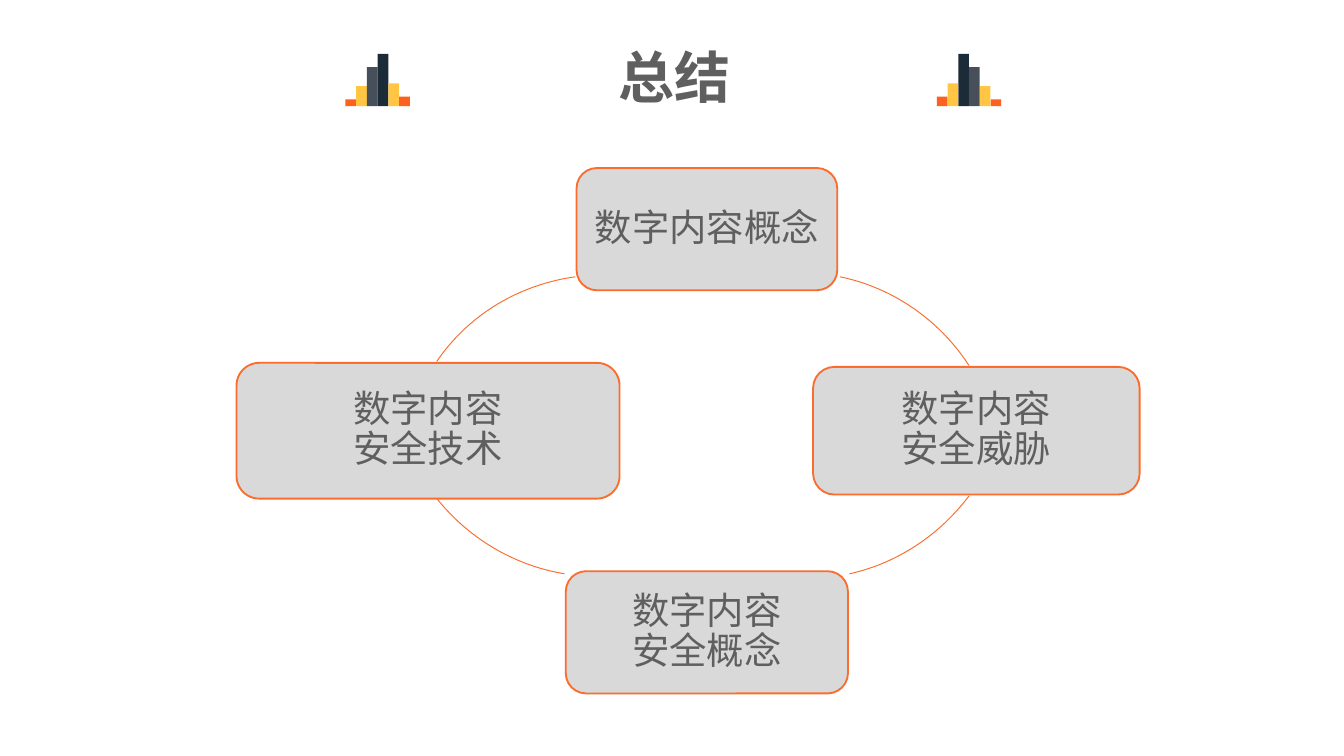
"""Build the summary slide: a ring of four topics under a title with bar ornaments."""
from pptx import Presentation
from pptx.dml.color import RGBColor
from pptx.enum.shapes import MSO_SHAPE
from pptx.enum.text import MSO_ANCHOR, PP_ALIGN
from pptx.util import Inches, Pt

RECT, ROUND = MSO_SHAPE.RECTANGLE, MSO_SHAPE.ROUNDED_RECTANGLE
MIDDLE, CENTER = MSO_ANCHOR.MIDDLE, PP_ALIGN.CENTER
FONT = "Noto Sans CJK SC"
GREY = RGBColor(0x5F, 0x5F, 0x5F)
PANEL = RGBColor(0xD9, 0xD9, 0xD9)
EDGE = RGBColor(0xFC, 0x6C, 0x2C)
ORANGE = RGBColor(0xFC, 0x61, 0x1F)
YELLOW = RGBColor(0xFF, 0xC5, 0x43)
SLATE = RGBColor(0x46, 0x4F, 0x5A)
NAVY = RGBColor(0x1C, 0x2B, 0x38)


def write(sp, lines, size, spacing, bold=False):
    tf = sp.text_frame
    tf.word_wrap = True
    tf.vertical_anchor = MIDDLE
    for i, line in enumerate(lines):
        p = tf.paragraphs[0] if i == 0 else tf.add_paragraph()
        p.alignment = CENTER
        p.line_spacing = spacing
        r = p.add_run()
        r.text = line
        r.font.size = Pt(size)
        r.font.name = FONT
        r.font.bold = bold
        r.font.color.rgb = GREY
        latin = r.font._element.find("{*}latin")
        latin.addnext(latin.makeelement(latin.tag.replace("latin", "ea"), {"typeface": FONT}))


def bezier(points, t):
    a, b, c, d = points
    u = 1 - t
    return [Inches(u**3 * a[k] + 3 * u * u * t * b[k] + 3 * u * t * t * c[k] + t**3 * d[k])
            for k in (0, 1)]


prs = Presentation()
prs.slide_width = Inches(10)
prs.slide_height = prs.slide_width * 9 // 16
s = prs.slides.add_slide(prs.slide_layouts[6])

title = s.shapes.add_textbox(Inches(3.24), Inches(0.24), Inches(3.56), Inches(0.81))
write(title, ["总结"], 30, 0.6, bold=True)

BAR, BASE = 0.08, 0.79
BARS = [(0.05, ORANGE), (0.15, YELLOW), (0.29, SLATE), (0.39, NAVY), (0.17, YELLOW), (0.07, ORANGE)]
for left, step in [(2.57, BAR), (7.37, -BAR)]:
    for i, (height, color) in enumerate(BARS):
        sp = s.shapes.add_shape(RECT, Inches(left + i * step), Inches(BASE - height),
                                Inches(BAR), Inches(height))
        sp.shadow.inherit = False
        sp.fill.solid()
        sp.fill.fore_color.rgb = color
        sp.line.fill.background()

ARCS = [
    [(6.25, 2.06), (6.64, 2.14), (6.99, 2.38), (7.21, 2.72)],
    [(7.21, 3.69), (6.99, 3.98), (6.68, 4.19), (6.32, 4.27)],
    [(4.2, 4.27), (3.83, 4.21), (3.49, 4.01), (3.25, 3.71)],
    [(3.25, 2.69), (3.49, 2.34), (3.86, 2.12), (4.28, 2.06)],
]
STEPS = 24
for points in ARCS:
    fb = s.shapes.build_freeform(*bezier(points, 0))
    fb.add_line_segments([bezier(points, i / STEPS) for i in range(1, STEPS + 1)], close=False)
    sp = fb.convert_to_shape()
    sp.shadow.inherit = False
    sp.fill.background()
    sp.line.color.rgb = EDGE
    sp.line.width = Pt(0.5)

TOPICS = [
    (4.29, 1.25, 1.94, 0.91, ["数字内容概念"]),
    (6.05, 2.73, 2.43, 0.95, ["数字内容", "安全威胁"]),
    (4.21, 4.25, 2.1, 0.91, ["数字内容", "安全概念"]),
    (1.76, 2.7, 2.85, 1.01, ["数字内容", "安全技术"]),
]
for *box, lines in TOPICS:
    sp = s.shapes.add_shape(ROUND, *map(Inches, box))
    sp.shadow.inherit = False
    sp.fill.solid()
    sp.fill.fore_color.rgb = PANEL
    sp.line.color.rgb = EDGE
    sp.line.width = Pt(1)
    tf = sp.text_frame
    tf.margin_left = tf.margin_right = tf.margin_top = tf.margin_bottom = Inches(0.08)
    write(sp, lines, 20, 0.9)

prs.save("out.pptx")
